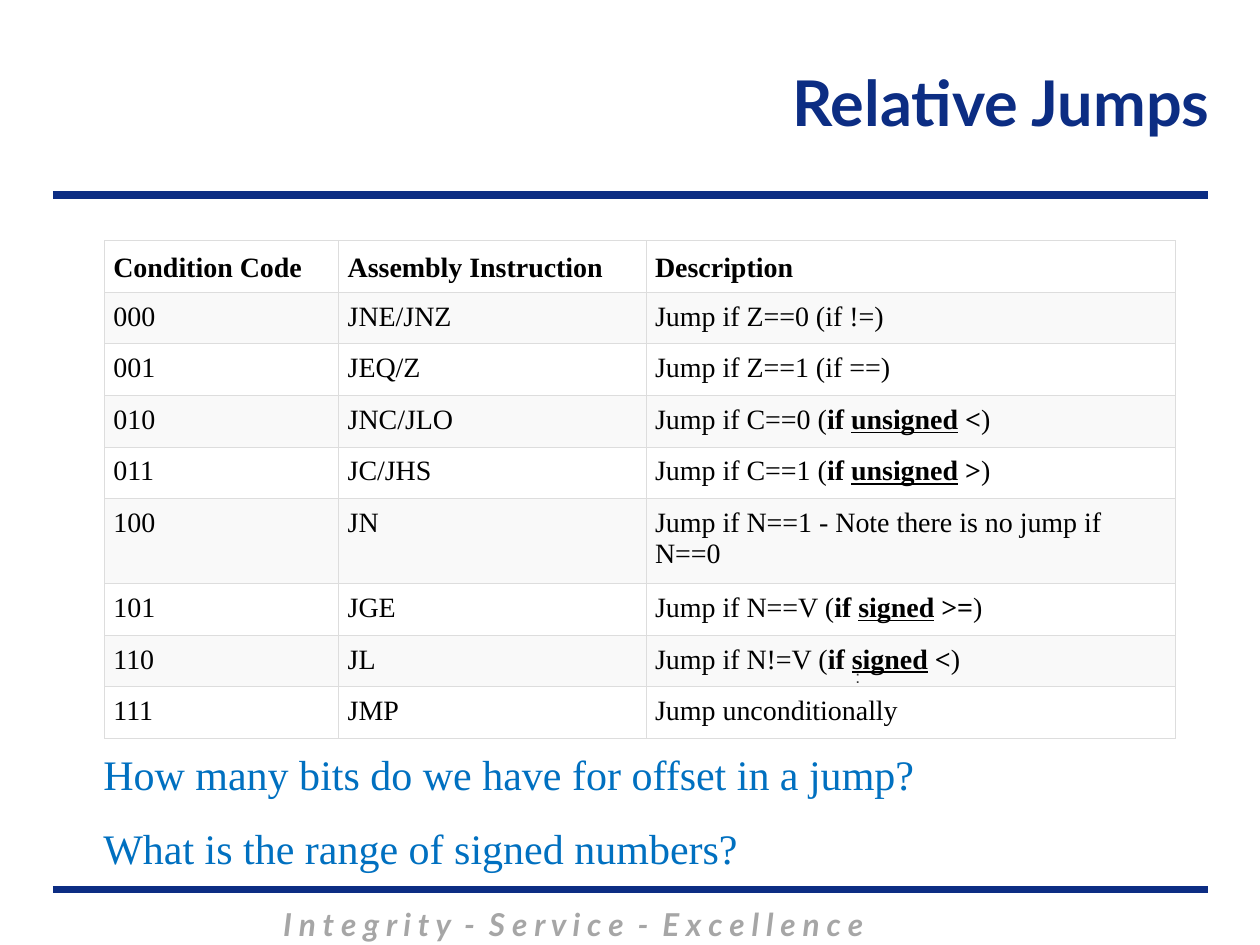
"""Build the Relative Jumps slide with its table of jump conditions."""
from lxml import etree
from pptx import Presentation
from pptx.dml.color import RGBColor
from pptx.enum.shapes import MSO_CONNECTOR
from pptx.enum.text import MSO_ANCHOR, MSO_AUTO_SIZE, PP_ALIGN
from pptx.oxml.ns import qn
from pptx.util import Inches, Pt

LINE = MSO_CONNECTOR.STRAIGHT
TOP, MIDDLE, BOTTOM = MSO_ANCHOR.TOP, MSO_ANCHOR.MIDDLE, MSO_ANCHOR.BOTTOM
LEFT, CENTER, RIGHT = PP_ALIGN.LEFT, PP_ALIGN.CENTER, PP_ALIGN.RIGHT
NO_FIT = MSO_AUTO_SIZE.NONE

THEME = {
    "title": ("Lato", 36, "0C2D83"),
    "motto": ("Lato", 18, "A6A6A6"),
    "cell": ("Times New Roman", 16, "000000"),
    "ask": ("Times New Roman", 24, "0070C0"),
    "mark": ("Arial", 10, "333333"),
    "rule": "0C2D83",
    "edge": "DDDDDD",
    "bands": ("FFFFFF", "F9F9F9"),
}

TITLE = "Relative Jumps"
MOTTO = "I n t e g r i t y  -  S e r v i c e  -  E x c e l l e n c e"
HEAD = ("Condition Code", "Assembly Instruction", "Description")
JUMPS = [
    ("000", "JNE/JNZ", ["Jump if Z==0 (if !=)"]),
    ("001", "JEQ/Z", ["Jump if Z==1 (if ==)"]),
    ("010", "JNC/JLO", ["Jump if C==0 (", "if ", "unsigned", " <", ")"]),
    ("011", "JC/JHS", ["Jump if C==1 (", "if ", "unsigned", " >", ")"]),
    ("100", "JN", ["Jump if N==1 - Note there is no jump if N==0"]),
    ("101", "JGE", ["Jump if N==V (", "if ", "signed", " >=", ")"]),
    ("110", "JL", ["Jump if N!=V (", "if ", "signed", " <", ")"]),
    ("111", "JMP", ["Jump unconditionally"]),
]
ASKS = ["How many bits do we have for offset in a jump?",
        "What is the range of signed numbers?"]
WIDTHS = (1.86, 2.44, 4.2)
ROW, TALL = 0.41, 0.67
RULES = (1.55, 7.06)


def style(font, role, bold=False, italic=False):
    name, size, color = THEME[role]
    font.name, font.size = name, Pt(size)
    font.bold, font.italic = bold, italic
    font.color.rgb = RGBColor.from_string(color)


def place(shape, left, top, width, height):
    shape.left, shape.top = Inches(left), Inches(top)
    shape.width, shape.height = Inches(width), Inches(height)


def add_rule(slide, y):
    rule = slide.shapes.add_connector(
        LINE, Inches(0.42), Inches(y), Inches(9.59), Inches(y))
    rule.line.color.rgb = RGBColor.from_string(THEME["rule"])
    rule.line.width = Pt(4.5)
    etree.SubElement(rule._element.spPr, qn("a:effectLst"))


def add_text(slide, box, text, role, align=LEFT, wrap=True, **look):
    shape = slide.shapes.add_textbox(*map(Inches, box))
    frame = shape.text_frame
    frame.text, frame.word_wrap = text, wrap
    para = frame.paragraphs[0]
    para.alignment = align
    style(para.runs[0].font, role, **look)
    return frame


def add_edges(cell):
    props = cell._tc.get_or_add_tcPr()
    for spot, side in enumerate(("lnL", "lnR", "lnT", "lnB")):
        edge = etree.Element(qn("a:" + side), w=str(Pt(0.75)))
        fill = etree.SubElement(edge, qn("a:solidFill"))
        etree.SubElement(fill, qn("a:srgbClr"), val=THEME["edge"])
        props.insert(spot, edge)


def fill_cell(cell, parts, band, head):
    cell.fill.solid()
    cell.fill.fore_color.rgb = RGBColor.from_string(THEME["bands"][band])
    cell.margin_left = cell.margin_right = Inches(0.07)
    cell.margin_top = cell.margin_bottom = Inches(0.07)
    cell.vertical_anchor = BOTTOM if head else TOP
    para = cell.text_frame.paragraphs[0]
    for spot, part in enumerate(parts):
        run = para.add_run()
        run.text = part
        style(run.font, "cell", bold=head or spot in (1, 2, 3))
        run.font.underline = spot == 2
    add_edges(cell)


def add_jumps(slide):
    rows = [[[name] for name in HEAD]]
    rows += [[[code], [name], note] for code, name, note in JUMPS]
    highs = [TALL if row[0] == ["100"] else ROW for row in rows]
    table = slide.shapes.add_table(
        len(rows), len(WIDTHS), Inches(0.83), Inches(1.91),
        Inches(sum(WIDTHS)), Inches(sum(highs))).table
    for col, width in zip(table.columns, WIDTHS):
        col.width = Inches(width)
    for r, (row, high) in enumerate(zip(rows, highs)):
        table.rows[r].height = Inches(high)
        for c, parts in enumerate(row):
            fill_cell(table.cell(r, c), parts, r % 2, r == 0)


def set_title(shape):
    place(shape, 2, 0.2, 7.7, 1.2)
    frame = shape.text_frame
    frame.text, frame.vertical_anchor = TITLE, MIDDLE
    frame.auto_size = NO_FIT
    para = frame.paragraphs[0]
    para.alignment = RIGHT
    style(para.runs[0].font, "title", bold=True)


def set_asks(shape):
    place(shape, 0.72, 5.89, 8.05, 1.11)
    frame = shape.text_frame
    frame.text, frame.auto_size = "\n".join(ASKS), NO_FIT
    for spot, para in enumerate(frame.paragraphs):
        props = para._p.get_or_add_pPr()
        props.set("marL", "0")
        props.set("indent", "0")
        etree.SubElement(props, qn("a:buNone"))
        para.space_before = Pt(13.5 if spot else 0)
        style(para.runs[0].font, "ask")


def main():
    deck = Presentation()
    deck.slide_width, deck.slide_height = Inches(10), Inches(7.5)
    slide = deck.slides.add_slide(deck.slide_layouts[1])
    for y in RULES:
        add_rule(slide, y)
    add_text(slide, (0.51, 7.13, 8.08, 0.4), MOTTO, "motto", CENTER,
             bold=True, italic=True)
    set_title(slide.shapes.title)
    add_jumps(slide)
    mark = add_text(slide, (6.69, 5.21, 0.24, 0.57), ":", "mark", wrap=False)
    mark.margin_top = Inches(0.08)
    set_asks(slide.placeholders[1])
    deck.save("out.pptx")


if __name__ == "__main__":
    main()
